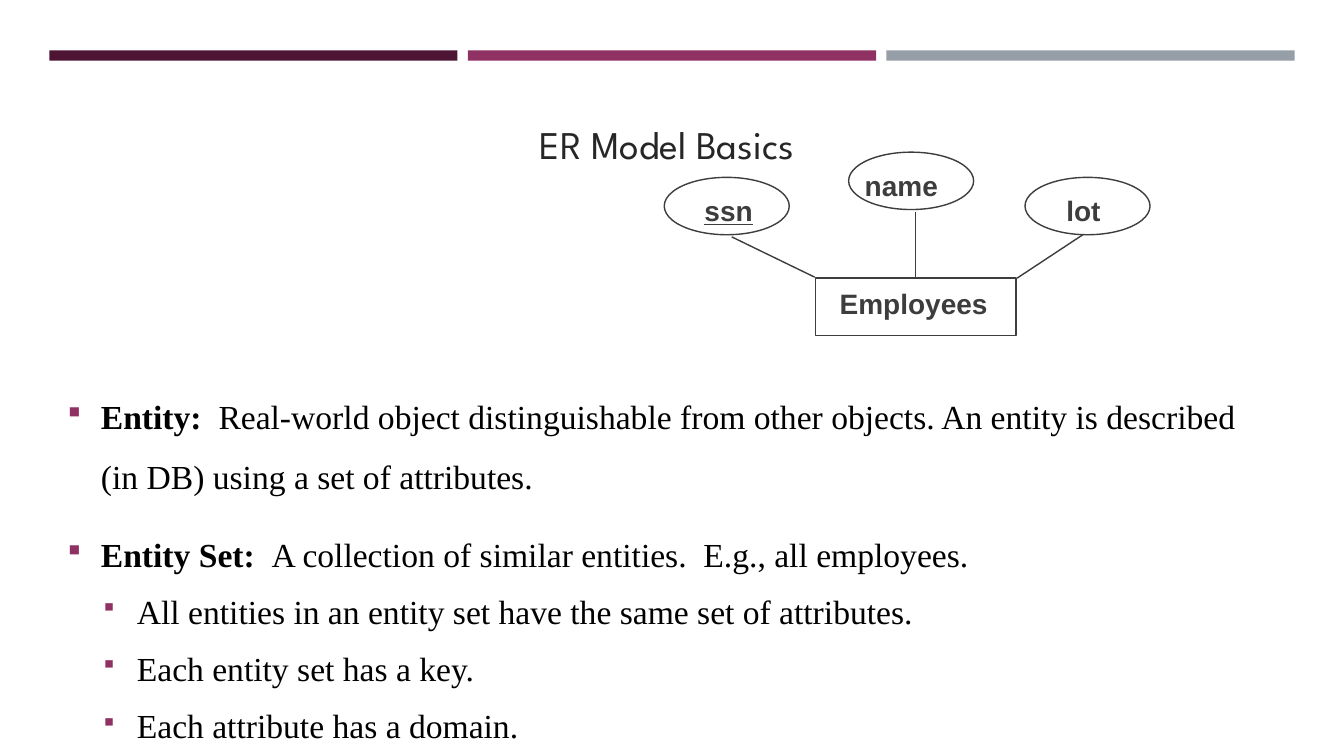
import pptx
import pptx.dml.color
import pptx.enum.shapes
import pptx.enum.text
import pptx.oxml
import pptx.oxml.ns
import pptx.util

Pt = pptx.util.Pt
KIND = pptx.enum.shapes.MSO_SHAPE
ALIGN = pptx.enum.text.PP_ALIGN
ANCHOR = pptx.enum.text.MSO_ANCHOR
INK = "3D3D3D"
PLUM = "903163"


def paint(part, color):
    """Give a fill, line or font a solid colour from a hex string."""
    if hasattr(part, "solid"):
        part.solid()
        part = part.fore_color
    else:
        part = part.color
    part.rgb = pptx.dml.color.RGBColor.from_string(color)


def write(para, text, font, size, color, bold=False):
    run = para.add_run()
    run.text = text
    run.font.name = font
    run.font.size = Pt(size)
    run.font.bold = bold
    paint(run.font, color)
    return run


deck = pptx.Presentation()
deck.slide_width, deck.slide_height = Pt(960), Pt(540)
slide = deck.slides.add_slide(deck.slide_layouts[6])
shapes = slide.shapes

# Bars across the top
for i, color in enumerate(["4D1434", PLUM, "969FA7"]):
    bar = shapes.add_shape(KIND.RECTANGLE, Pt(35.2 + 299 * i), Pt(36), Pt(291.6), Pt(7.4))
    bar.shadow.inherit = False
    paint(bar.fill, color)
    bar.line.fill.background()

# Definitions
body = shapes.add_textbox(Pt(41), Pt(238.3), Pt(877.7), Pt(324))
frame = body.text_frame
frame.word_wrap = True
frame.vertical_anchor = ANCHOR.MIDDLE
points = [
    (0, "Entity:  ", "Real-world object distinguishable from other objects. "
     "An entity is described (in DB) using a set of attributes."),
    (0, "Entity Set:  ", "A collection of similar entities.  E.g., all employees."),
    (1, "", "All entities in an entity set have the same set of attributes."),
    (1, "", "Each entity set has a key."),
    (1, "", "Each attribute has a domain."),
]
for i, (level, term, text) in enumerate(points):
    para = frame.add_paragraph() if i else frame.paragraphs[0]
    para.level = level
    para.space_before = para.space_after = Pt(6)
    para.line_spacing = 1 if level else 1.5
    props = para._p.get_or_add_pPr()
    props.set("marL", str(Pt(49.7 if level else 24)))
    props.set("indent", str(Pt(-24)))
    size = 75000 if level else 92000
    for tag in (f'<a:buClr %s><a:srgbClr val="{PLUM}"/></a:buClr>',
                f'<a:buSzPct %s val="{size}"/>',
                '<a:buFont %s typeface="Wingdings" charset="2"/>',
                '<a:buChar %s char="§"/>'):
        props.append(pptx.oxml.parse_xml(tag % pptx.oxml.ns.nsdecls("a")))
    if term:
        write(para, term, "Times New Roman", 24, "000000", True)
    write(para, text, "Times New Roman", 24, "000000")

# Entity and its attributes: outline box, then label box
nodes = [
    ("Employees", KIND.RECTANGLE, (582.5, 198.7, 143.3, 41), (592.6, 200.9, 121)),
    ("ssn", KIND.OVAL, (474.5, 126.7, 89.3, 41), (496.1, 134.6, 49)),
    ("name", KIND.OVAL, (606.2, 108.7, 89.3, 41), (610.6, 116.6, 67)),
    ("lot", KIND.OVAL, (732.2, 126.7, 89.3, 41), (754.6, 134.6, 39)),
]
for name, kind, box, (left, top, width) in nodes:
    node = shapes.add_shape(kind, *map(Pt, box))
    node.shadow.inherit = False
    node.fill.background()
    paint(node.line, INK)
    node.line.width = Pt(1)
    label = shapes.add_textbox(Pt(left), Pt(top), Pt(width), Pt(31))
    label.text_frame.word_wrap = False
    run = write(label.text_frame.paragraphs[0], name, "Arial", 20, INK, True)
    if name == "ssn":
        run.font.underline = True

for ends in [(522.7, 169.2, 582, 198), (653.8, 151.2, 653.8, 198),
             (726.5, 198.7, 773.3, 167.8)]:
    link = shapes.add_connector(pptx.enum.shapes.MSO_CONNECTOR.STRAIGHT, *map(Pt, ends))
    paint(link.line, INK)
    link.line.width = Pt(1)
    link._element.spPr.append(
        pptx.oxml.parse_xml("<a:effectLst %s/>" % pptx.oxml.ns.nsdecls("a")))

# Title
title = shapes.add_textbox(Pt(145.4), Pt(78.5), Pt(661.7), Pt(64.8))
title.text_frame.word_wrap = True
para = title.text_frame.paragraphs[0]
para.alignment = ALIGN.CENTER
para.line_spacing = 1.12
para.space_before = Pt(9)
write(para, "ER Model Basics", "League Spartan", 28, "262626")

deck.save("out.pptx")
